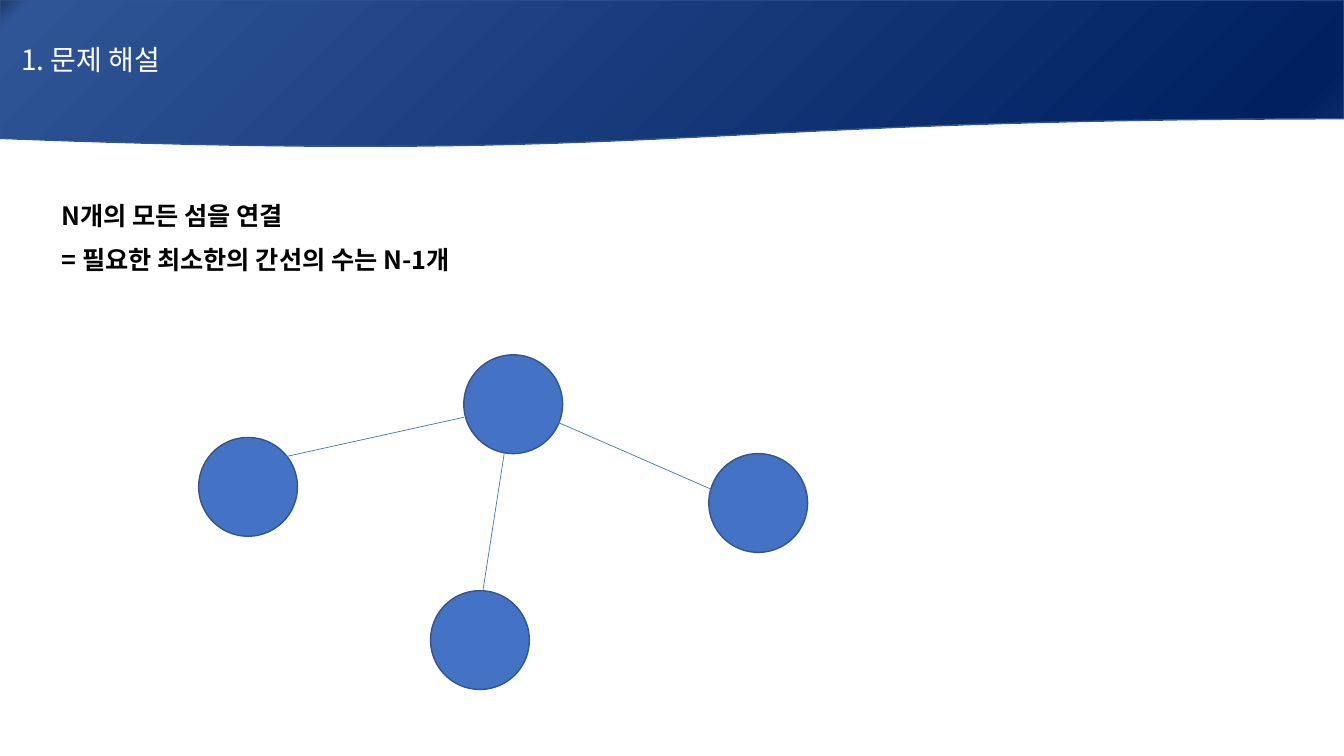
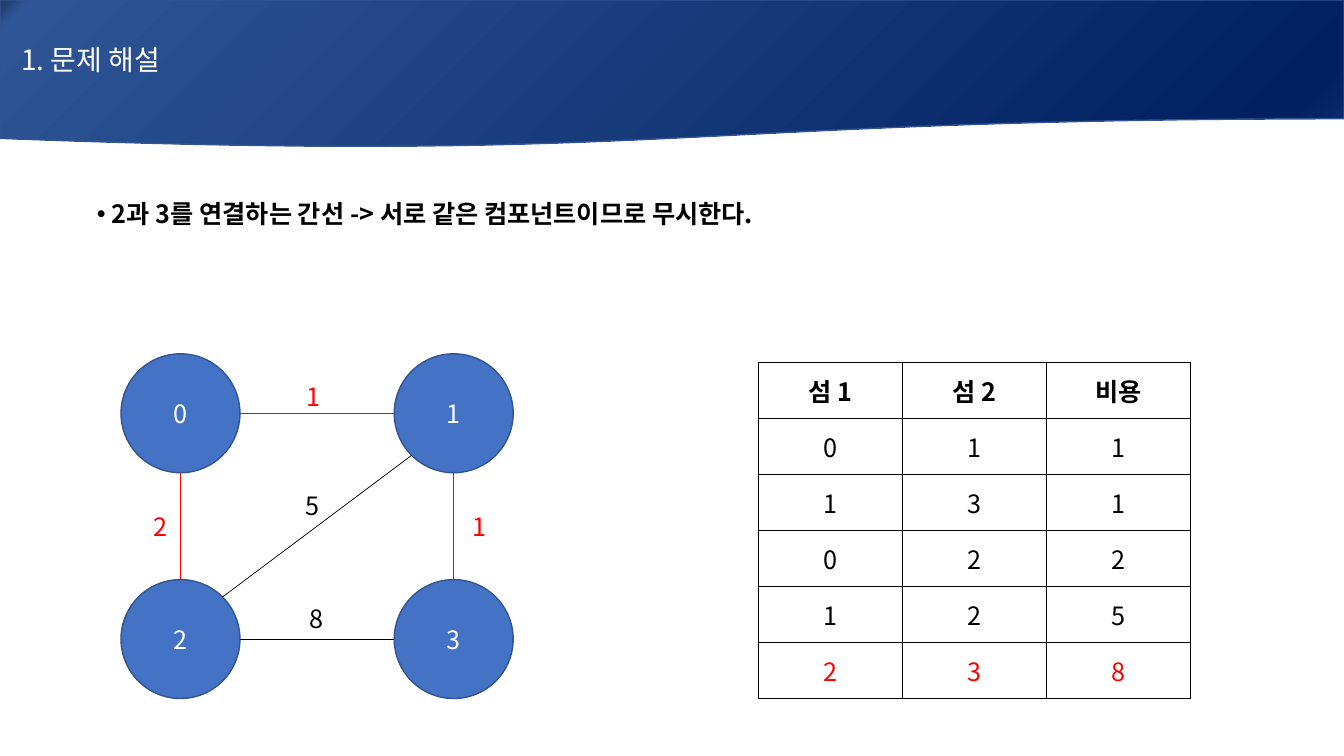
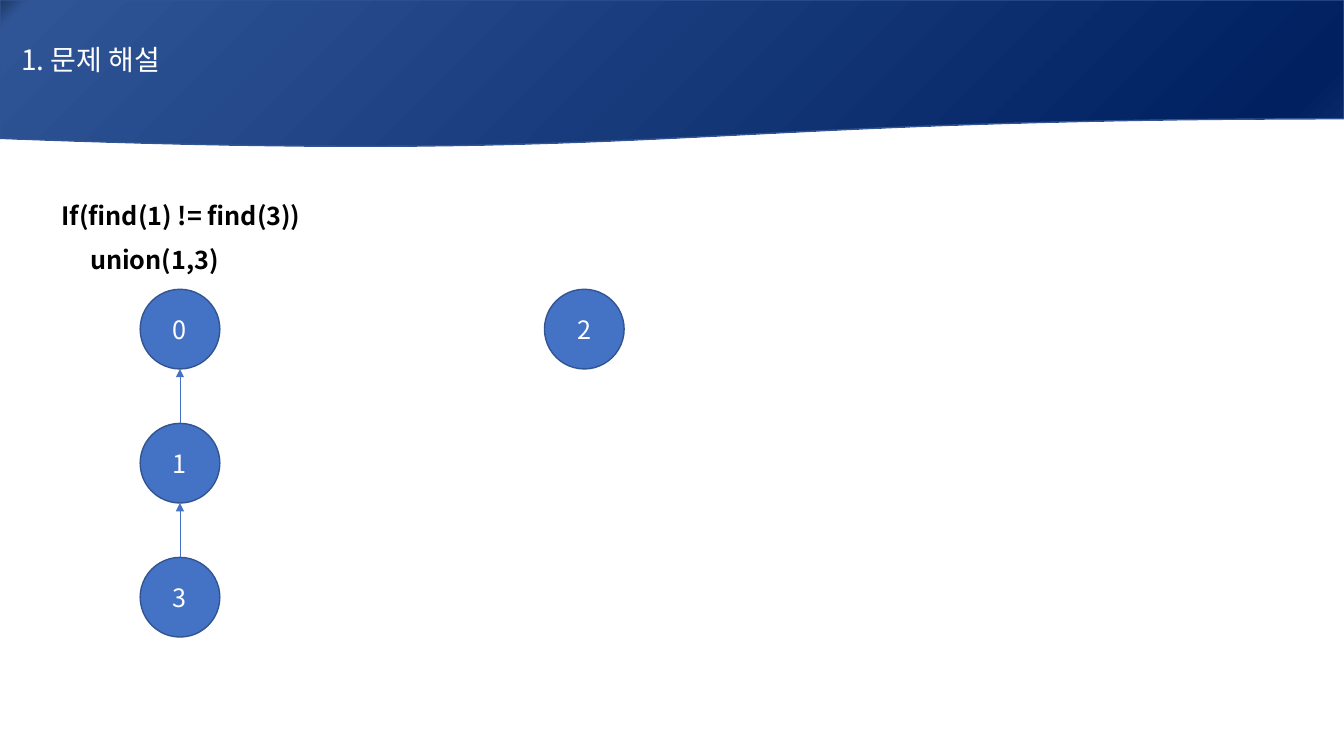
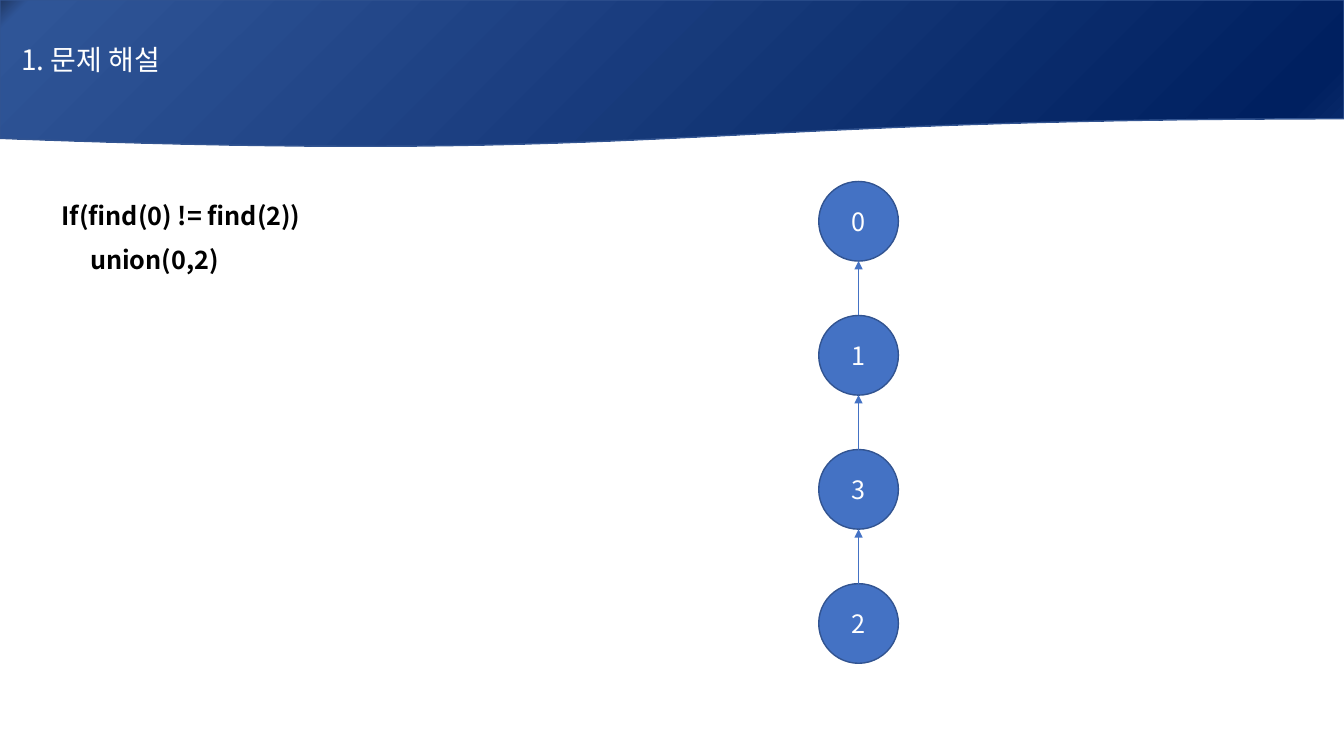
from math import sqrt

from lxml import etree
from pptx import Presentation
from pptx.dml.color import RGBColor
from pptx.enum.shapes import MSO_CONNECTOR, MSO_SHAPE
from pptx.enum.text import MSO_ANCHOR, MSO_AUTO_SIZE, PP_ALIGN
from pptx.oxml.ns import qn
from pptx.util import Inches, Pt

LINE = MSO_CONNECTOR.STRAIGHT
OVAL = MSO_SHAPE.OVAL
WAVE = MSO_SHAPE.FLOWCHART_DOCUMENT
MIDDLE = MSO_ANCHOR.MIDDLE
TOP = MSO_ANCHOR.TOP
LEFT, CENTER, FULL = PP_ALIGN.LEFT, PP_ALIGN.CENTER, PP_ALIGN.JUSTIFY
FIXED = MSO_AUTO_SIZE.NONE

FONT = "Noto Sans CJK KR"
WHITE = RGBColor(0xFF, 0xFF, 0xFF)
BLACK = RGBColor(0, 0, 0)
RED = RGBColor(0xFF, 0, 0)
BLUE = RGBColor(0x44, 0x72, 0xC4)
NAVY = RGBColor(0x32, 0x54, 0x91)
STOPS = [
    (0, RGBColor(0x20, 0x38, 0x64)),
    (2, RGBColor(0x2F, 0x55, 0x97)),
    (94, RGBColor(0x00, 0x20, 0x60)),
    (100, RGBColor(0x0D, 0x2E, 0x6F)),
]

WIDTH = 13.33
TITLE = "1. 문제 해설"

GOAL = ["N개의 모든 섬을 연결", "= 필요한 최소한의 간선의 수는 N-1개"]
SKIP = ["2과 3를 연결하는 간선 -> 서로 같은 컴포넌트이므로 무시한다."]
JOIN_13 = ["If(find(1) != find(3))", "     union(1,3)"]
JOIN_02 = ["If(find(0) != find(2))", "     union(0,2)"]

ISLES = [(1.97, 4.34), (4.6, 3.52), (7.03, 4.5), (4.27, 5.86)]
BRIDGES = [
    ((2.79, 4.54), (4.6, 4.14)),
    ((5.01, 4.44), (4.77, 5.99)),
    ((5.42, 4.14), (7.39, 5)),
]

GRID = {"0": (1.79, 4.1), "1": (4.5, 4.1), "2": (1.79, 6.34), "3": (4.5, 6.34)}
EDGES = [
    ("0", "2", "2", RED, (1.42, 5.02)),
    ("2", "3", "8", BLACK, (2.97, 5.94)),
    ("1", "3", "1", RED, (4.59, 5.02)),
    ("0", "1", "1", RED, (2.94, 3.73)),
    ("2", "1", "5", BLACK, (2.93, 4.82)),
]
COSTS = [
    ("섬 1", "섬 2", "비용"),
    ("0", "1", "1"),
    ("1", "3", "1"),
    ("0", "2", "2"),
    ("1", "2", "5"),
    ("2", "3", "8"),
]


def style(frame, color, size=18, bold=False, align=LEFT):
    for para in frame.paragraphs:
        para.alignment = align
        for run in para.runs:
            font = run.font
            font.name, font.size, font.bold = FONT, Pt(size), bold
            font.color.rgb = color


def add_band(layout, shapes):
    band = shapes.add_shape(WAVE, 0, 0, Inches(WIDTH), Inches(1.47))
    band.shadow.inherit = False
    band.fill.gradient()
    band.fill.gradient_angle = 315
    stops = band.element.find(".//" + qn("a:gsLst"))
    for stop in list(stops):
        stops.remove(stop)
    for pos, color in STOPS:
        stop = etree.SubElement(stops, qn("a:gs"), pos=str(pos * 1000))
        etree.SubElement(stop, qn("a:srgbClr"), val=str(color))
    band.line.color.rgb = NAVY
    band.line.width = Pt(1)
    layout.shapes.element.insert(2, band.element)


def place(shape, left, top, width, height):
    shape.left, shape.top = Inches(left), Inches(top)
    shape.width, shape.height = Inches(width), Inches(height)


def add_slide(deck, layout, lines, bullet=False):
    slide = deck.slides.add_slide(layout)
    title, body = slide.placeholders
    place(title, 0, 0, WIDTH, 1.18)
    frame = title.text_frame
    frame.text = TITLE
    frame.margin_left = Inches(0.21)
    frame.vertical_anchor = MIDDLE
    frame.auto_size = FIXED
    style(frame, WHITE, 20)

    if bullet:
        place(body, 0.86, 1.92, 7.73, 0.4)
    else:
        place(body, 0.51, 1.92, 11.95, 0.84)
    frame = body.text_frame
    frame.text = "\n".join(lines)
    frame.vertical_anchor = TOP
    frame.auto_size = FIXED
    for para in frame.paragraphs:
        props = para._p.get_or_add_pPr()
        hang = Inches(0.15) if bullet else 0
        props.set("marL", str(hang))
        props.set("indent", str(-hang))
        if bullet:
            etree.SubElement(props, qn("a:buChar"), char="•")
        else:
            etree.SubElement(props, qn("a:buNone"))
        para.space_before = Pt(0)
        para.space_after = Pt(0 if bullet else 8)
        para.line_spacing = 1.0 if bullet else 1.07
    style(frame, BLACK, bold=True, align=LEFT if bullet else FULL)
    return slide


def add_node(slide, left, top, size, label=""):
    node = slide.shapes.add_shape(
        OVAL, Inches(left), Inches(top), Inches(size), Inches(size))
    node.shadow.inherit = False
    node.fill.solid()
    node.fill.fore_color.rgb = BLUE
    node.line.color.rgb = NAVY
    node.line.width = Pt(1)
    if label:
        frame = node.text_frame
        frame.text = label
        frame.vertical_anchor = MIDDLE
        style(frame, WHITE, align=CENTER)
    return node


def add_line(slide, start, end, color, arrow=False):
    line = slide.shapes.add_connector(
        LINE, *[Inches(value) for value in (*start, *end)])
    line.line.color.rgb = color
    line.line.width = Pt(0.5)
    if arrow:
        stroke = line.element.spPr.find(qn("a:ln"))
        etree.SubElement(stroke, qn("a:tailEnd"), type="triangle")
    etree.SubElement(line.element.spPr, qn("a:effectLst"))
    return line


def add_chain(slide, left, top, labels):
    size, step = 0.79, 1.33
    for row, label in enumerate(labels):
        head = top + row * step
        node = add_node(slide, left, head, size, label)
        if row:
            mid = left + size / 2
            line = add_line(
                slide, (mid, head), (mid, head - step + size), BLUE, True)
            line.begin_connect(node, 0)


def sign(value):
    return (value > 0) - (value < 0)


def add_graph(slide):
    size = 1.18
    for label, (x, y) in GRID.items():
        add_node(slide, x - size / 2, y - size / 2, size, label)
    for tail, head, cost, color, spot in EDGES:
        (x1, y1), (x2, y2) = GRID[tail], GRID[head]
        dx, dy = sign(x2 - x1), sign(y2 - y1)
        reach = size / 2 / sqrt(dx * dx + dy * dy)
        dx, dy = dx * reach, dy * reach
        add_line(slide, (x1 + dx, y1 + dy), (x2 - dx, y2 - dy), color)
        box = slide.shapes.add_textbox(
            Inches(spot[0]), Inches(spot[1]), Inches(0.43), Inches(0.4))
        box.text_frame.word_wrap = True
        box.text_frame.text = cost
        style(box.text_frame, color)


def add_costs(slide):
    rows, cols = len(COSTS), len(COSTS[0])
    table = slide.shapes.add_table(
        rows, cols, Inches(7.52), Inches(3.6), Inches(4.29), Inches(3.33)).table
    table.first_row = table.horz_banding = False
    for i, row in enumerate(COSTS):
        for j, text in enumerate(row):
            cell = table.cell(i, j)
            cell.text = text
            cell.vertical_anchor = MIDDLE
            color = RED if i == rows - 1 else BLACK
            style(cell.text_frame, color, bold=i == 0, align=CENTER)
            props = cell._tc.get_or_add_tcPr()
            for side in ("lnL", "lnR", "lnT", "lnB"):
                edge = etree.SubElement(props, qn("a:" + side), w=str(Pt(1)))
                fill = etree.SubElement(edge, qn("a:solidFill"))
                etree.SubElement(fill, qn("a:srgbClr"), val=str(BLACK))
            cell.fill.solid()
            cell.fill.fore_color.rgb = WHITE


def main():
    deck = Presentation()
    deck.slide_width, deck.slide_height = Inches(WIDTH), Inches(7.5)
    layout = deck.slide_layouts[1]

    slide = add_slide(deck, layout, GOAL)
    add_band(layout, slide.shapes)
    for left, top in ISLES:
        add_node(slide, left, top, 0.98)
    for start, end in BRIDGES:
        add_line(slide, start, end, BLUE)

    slide = add_slide(deck, layout, SKIP, bullet=True)
    add_graph(slide)
    add_costs(slide)

    slide = add_slide(deck, layout, JOIN_13)
    add_chain(slide, 1.39, 2.87, "013")
    add_chain(slide, 5.4, 2.87, "2")

    slide = add_slide(deck, layout, JOIN_02)
    add_chain(slide, 8.12, 1.8, "0132")

    for slide in deck.slides:
        for latin in list(slide.element.iter(qn("a:latin"))):
            asian = etree.Element(qn("a:ea"), typeface=FONT)
            latin.addnext(asian)
    deck.save("out.pptx")


if __name__ == "__main__":
    main()
